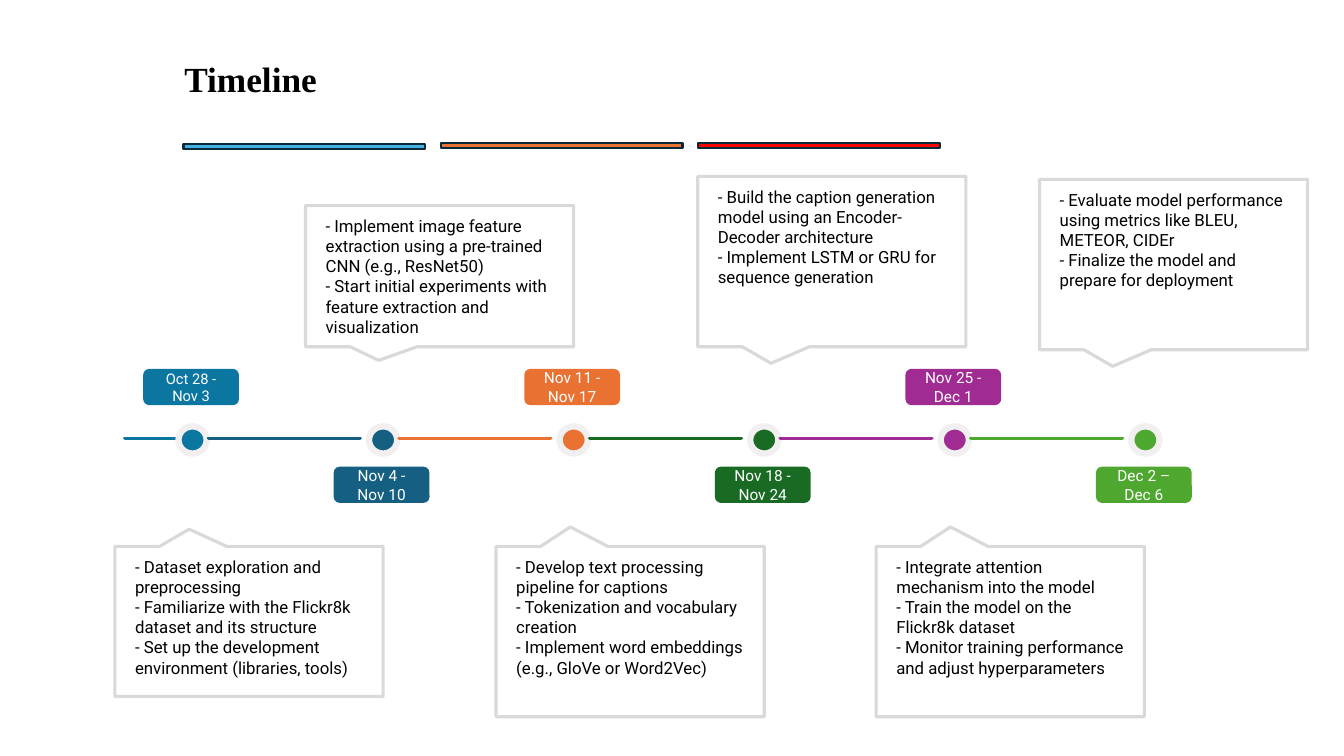
import pptx
import pptx.util
import pptx.dml.color
import pptx.enum.shapes
import pptx.enum.text
import pptx.oxml.xmlchemy
from lxml import etree

Inches = pptx.util.Inches
Pt = pptx.util.Pt
RGBColor = pptx.dml.color.RGBColor
SHAPES = pptx.enum.shapes.MSO_SHAPE
ANCHOR = pptx.enum.text.MSO_ANCHOR
ALIGN = pptx.enum.text.PP_ALIGN

BLACK = RGBColor(0x00, 0x00, 0x00)
WHITE = RGBColor(0xFF, 0xFF, 0xFF)
SKY = RGBColor(0x46, 0xB1, 0xE1)
RED = RGBColor(0xFF, 0x00, 0x00)
NAVY = RGBColor(0x09, 0x2A, 0x39)
BLUE = RGBColor(0x0B, 0x76, 0xA0)
TEAL = RGBColor(0x15, 0x60, 0x82)
ORANGE = RGBColor(0xE9, 0x71, 0x32)
FOREST = RGBColor(0x19, 0x6B, 0x24)
PURPLE = RGBColor(0xA0, 0x2B, 0x93)
GREEN = RGBColor(0x4E, 0xA7, 0x2E)
BORDER_GRAY = RGBColor(0xD9, 0xD9, 0xD9)
RING_GRAY = RGBColor(0xF1, 0xEF, 0xF0)

STEP = 1.89  # distance between milestones
AXIS_Y = 4.35

presentation = pptx.Presentation()
presentation.slide_width = Inches(13.33)
presentation.slide_height = Inches(7.5)
slide = presentation.slides.add_slide(presentation.slide_layouts[6])


def add_box(kind, left, top, width, height, fill, line=None, line_width=0):
    shape = slide.shapes.add_shape(
        kind, Inches(left), Inches(top), Inches(width), Inches(height))
    shape.shadow.inherit = False
    shape.fill.solid()
    shape.fill.fore_color.rgb = fill
    if line is None:
        shape.line.fill.background()
    else:
        shape.line.color.rgb = line
        shape.line.width = Pt(line_width)
    return shape


def write_text(shape, lines, font_values, color, frame_values, paragraph_values):
    frame = shape.text_frame
    frame.text = "\n".join(lines)
    for name, value in frame_values.items():
        setattr(frame, name, value)
    for paragraph in frame.paragraphs:
        for name, value in paragraph_values.items():
            setattr(paragraph, name, value)
        for run in paragraph.runs:
            for name, value in font_values.items():
                setattr(run.font, name, value)
            run.font.color.rgb = color


# Title
title = slide.shapes.add_textbox(Inches(1.73), Inches(0.5), Inches(10), Inches(0.6))
write_text(title, ["Timeline"],
           {"name": "Times New Roman", "size": Pt(25.2), "bold": True}, BLACK,
           {"word_wrap": True, "vertical_anchor": ANCHOR.MIDDLE},
           {"alignment": ALIGN.LEFT, "line_spacing": 0.9})

# Coloured bars under the title
for index, (top, color) in enumerate([(1.43, SKY), (1.42, ORANGE), (1.42, RED)]):
    add_box(SHAPES.RECTANGLE, 1.82 + 2.55 * index, top, 2.4, 0.05, color, NAVY, 1.5)

# Callouts: left, top, height, tail position, tasks
TAIL_UP = (-0.223, -0.614)
TAIL_DOWN = (-0.227, 0.597)
callouts = [
    (1.14, 5.42, 1.49, TAIL_UP, [
        "- Dataset exploration and preprocessing",
        "- Familiarize with the Flickr8k dataset and its structure",
        "- Set up the development environment (libraries, tools)"]),
    (3.03, 2.04, 1.4, TAIL_DOWN, [
        "- Implement image feature extraction using a pre-trained CNN (e.g., ResNet50)",
        "- Start initial experiments with feature extraction and visualization"]),
    (4.92, 5.42, 1.69, TAIL_UP, [
        "- Develop text processing pipeline for captions",
        "- Tokenization and vocabulary creation",
        "- Implement word embeddings (e.g., GloVe or Word2Vec)"]),
    (6.92, 1.75, 1.69, TAIL_DOWN, [
        "- Build the caption generation model using an Encoder-Decoder architecture",
        "- Implement LSTM or GRU for sequence generation"]),
    (8.69, 5.42, 1.69, TAIL_UP, [
        "- Integrate attention mechanism into the model",
        "- Train the model on the Flickr8k dataset",
        "- Monitor training performance and adjust hyperparameters"]),
    (10.31, 1.78, 1.69, TAIL_DOWN, [
        "- Evaluate model performance using metrics like BLEU, METEOR, CIDEr",
        "- Finalize the model and prepare for deployment"]),
]
callout_frame = {
    "word_wrap": True, "vertical_anchor": ANCHOR.TOP,
    "margin_left": Inches(0.2), "margin_top": Inches(0.1),
    "margin_right": Inches(0.2), "margin_bottom": 0,
}
for left, top, height, tail, tasks in callouts:
    callout = add_box(SHAPES.RECTANGULAR_CALLOUT, left, top, 2.66, height,
                      WHITE, BORDER_GRAY, 2.25)
    callout.adjustments[0], callout.adjustments[1] = tail
    write_text(callout, tasks, {"name": "Roboto", "size": Pt(12)}, BLACK,
               callout_frame, {"alignment": ALIGN.LEFT, "space_after": Pt(0)})

# Milestones: axis segment, date label and dot
milestones = [
    (["Oct 28 - Nov 3"], BLUE, 10.5),
    (["Nov 4 - Nov 10"], TEAL, 11),
    (["Nov 11 - Nov 17"], ORANGE, 11),
    (["Nov 18 - Nov 24"], FOREST, 11),
    (["Nov 25 - Dec 1"], PURPLE, 11),
    (["Dec 2 –", "Dec 6"], GREEN, 11),
]
for index, (dates, color, size) in enumerate(milestones):
    offset = STEP * index
    start, end = (0.18 + offset, 1.68 + offset) if index else (1.24, 1.75)
    segment = slide.shapes.add_connector(
        pptx.enum.shapes.MSO_CONNECTOR.STRAIGHT,
        Inches(start), Inches(AXIS_Y), Inches(end), Inches(AXIS_Y))
    segment.line.color.rgb = color
    segment.line.width = Pt(2.75)
    segment.line._get_or_add_ln().set("cap", "rnd")
    etree.SubElement(segment._element.spPr, pptx.oxml.ns.qn("a:effectLst"))

    label = add_box(SHAPES.ROUNDED_RECTANGLE, 1.42 + offset,
                    4.63 if index % 2 else 3.66, 0.95, 0.36, color)
    write_text(label, dates, {"name": "Roboto", "size": Pt(size)}, WHITE,
               {"word_wrap": True, "vertical_anchor": ANCHOR.MIDDLE},
               {"alignment": ALIGN.CENTER})

    add_box(SHAPES.OVAL, 1.77 + offset, 4.23, 0.28, 0.27, color, RING_GRAY, 4.5)

presentation.save("out.pptx")
